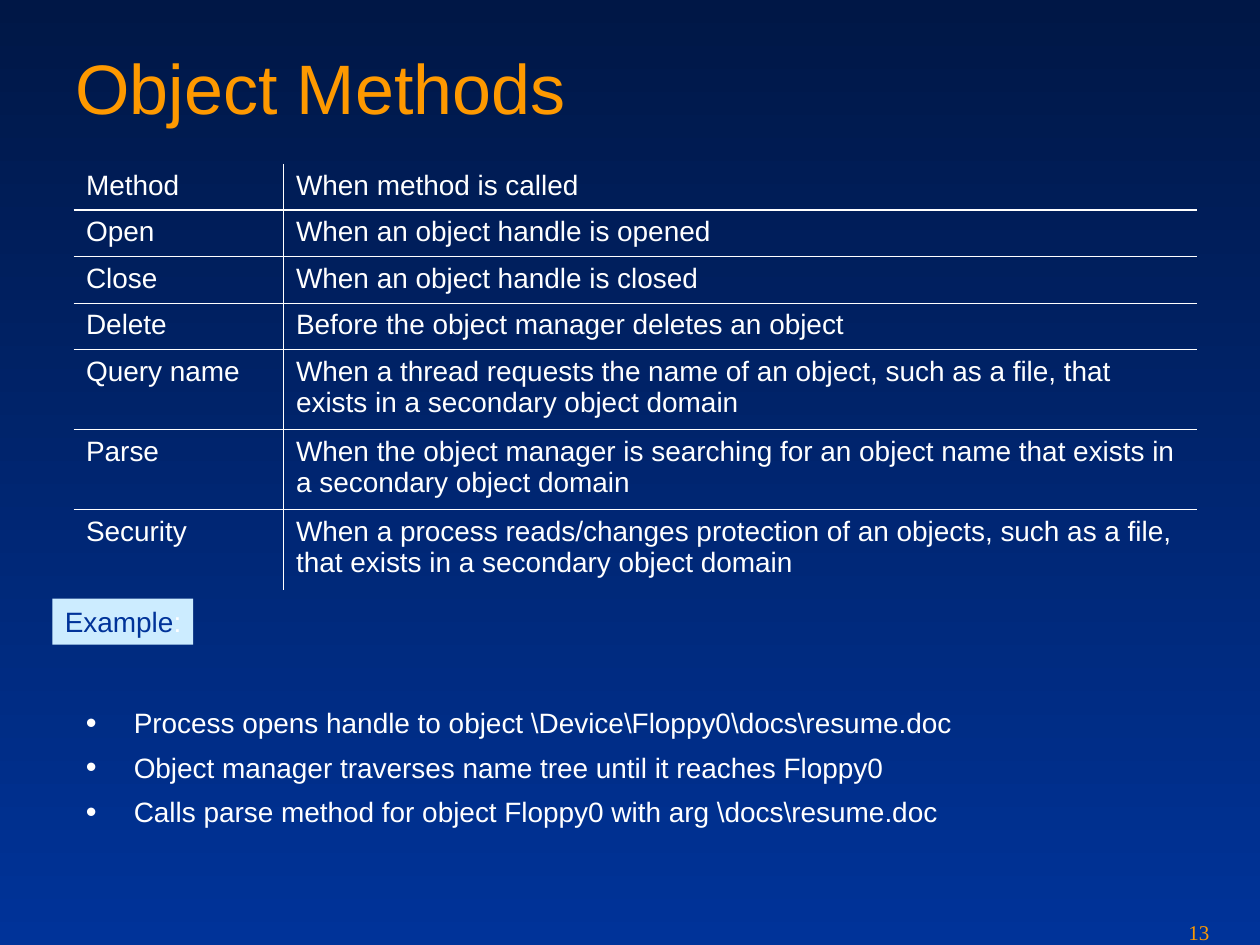
from typing import NamedTuple

from lxml.etree import SubElement as Sub
from pptx import Presentation
from pptx.dml.color import RGBColor as RGB
from pptx.enum.shapes import MSO_SHAPE as Shape
from pptx.enum.text import MSO_ANCHOR as Anchor, PP_ALIGN as Align
from pptx.oxml import parse_xml
from pptx.oxml.ns import nsdecls, qn
from pptx.util import Inches, Pt

WHITE, GOLD, BLUE, NAVY, PALE = "FFFFFF", "FE9900", "003399", "001746", "CCECFF"
THIN, THICK = 0.45, 1.47
COLS, ROWS = 120, 90  # square grid, twelve units to the inch


class Box(NamedTuple):
    col: float
    row: float
    wide: float
    high: float


class Method(NamedTuple):
    name: str
    when: str
    high: float = 4.43


TALL = 7.62
METHODS = [
    Method("Method", "When method is called"),
    Method("Open", "When an object handle is opened"),
    Method("Close", "When an object handle is closed"),
    Method("Delete", "Before the object manager deletes an object"),
    Method("Query name", "When a thread requests the name of an object, such as "
           "a file, that exists in a secondary object domain", TALL),
    Method("Parse", "When the object manager is searching for an object name "
           "that exists in a secondary object domain", TALL),
    Method("Security", "When a process reads/changes protection of an objects, "
           "such as a file, that exists in a secondary object domain", TALL),
]
STEPS = [
    r"Process opens handle to object \Device\Floppy0\docs\resume.doc",
    "Object manager traverses name tree until it reaches Floppy0",
    r"Calls parse method for object Floppy0 with arg \docs\resume.doc",
]


def color(code: str) -> RGB:
    return RGB.from_string(code)


def unit(count: float) -> int:
    return Inches(count / 12)


def place(box: Box) -> list[int]:
    return [unit(n) for n in box]


def write(para, text: str, size=16, hue=WHITE, face="Arial") -> None:
    """Add one formatted run to a paragraph."""
    para.alignment = Align.LEFT
    run = para.add_run()
    run.text = text
    run.font.size = Pt(size)
    run.font.name = face
    run.font.color.rgb = color(hue)


def frame(slide, box: Box):
    text = slide.shapes.add_textbox(*place(box)).text_frame
    text.word_wrap = True
    text.vertical_anchor = Anchor.TOP
    return text


def bullet(para) -> None:
    props = para._p.get_or_add_pPr()
    props.set("marL", str(Inches(0.38)))
    props.set("indent", str(-Inches(0.38)))
    Sub(Sub(props, qn("a:buClr")), qn("a:srgbClr"), val=WHITE)
    Sub(props, qn("a:buSzPct"), val="110000")
    Sub(props, qn("a:buFont"), typeface="Arial")
    Sub(props, qn("a:buChar"), char="•")


def border(cell, sides: dict[str, float]) -> None:
    """Rule each side at its width; zero leaves the side open."""
    props = cell._tc.get_or_add_tcPr()
    for spot, side in enumerate("LRTB"):
        width = sides.get(side, 0)
        paint = (f'<a:solidFill><a:srgbClr val="{WHITE}"/></a:solidFill>'
                 if width else "<a:noFill/>")
        props.insert(spot, parse_xml(
            f'<a:ln{side} {nsdecls("a")} w="{Pt(width)}">{paint}</a:ln{side}>'))


def chart_methods(slide, box: Box) -> None:
    table = slide.shapes.add_table(len(METHODS), 2, *place(box)).table
    table.first_row = table.horz_banding = False
    for col, wide in zip(table.columns, (20, 87)):
        col.width = unit(wide)
    # Rules between rows, with the heavy one under the heading
    rules = [0, THICK] + [THIN] * (len(METHODS) - 2) + [0]
    for i, item in enumerate(METHODS):
        table.rows[i].height = unit(item.high)
        for j, text in enumerate((item.name, item.when)):
            cell = table.cell(i, j)
            cell.fill.background()
            write(cell.text_frame.paragraphs[0], text)
            border(cell, {"RL"[j]: THIN, "T": rules[i], "B": rules[i + 1]})


def main() -> None:
    deck = Presentation()
    deck.slide_width, deck.slide_height = unit(COLS), unit(ROWS)
    slide = deck.slides.add_slide(deck.slide_layouts[6])

    # Background, dark at the top
    fill = slide.background.fill
    fill.gradient()
    fill.gradient_angle = 270
    for stop, hue in zip(fill.gradient_stops, (NAVY, BLUE)):
        stop.color.rgb = color(hue)

    # Title
    title = frame(slide, Box(6, 2.9, 108, 15))
    title.margin_top = Inches(0.11)
    write(title.paragraphs[0], "Object Methods", size=40, hue=GOLD)

    # Steps of the example
    body = frame(slide, Box(7, 67, 106, 14))
    for i, step in enumerate(STEPS):
        para = body.add_paragraph() if i else body.paragraphs[0]
        bullet(para)
        para.line_spacing = 0.9
        para.space_before = Pt(4 if i else 0)
        para.space_after = Pt(4)
        write(para, step)

    chart_methods(slide, Box(7, 15.6, 107, 40.5))

    # Example label
    label = slide.shapes.add_shape(Shape.RECTANGLE, *place(Box(5, 57, 13.4, 4.4)))
    label.shadow.inherit = False
    label.fill.solid()
    label.fill.fore_color.rgb = color(PALE)
    label.line.fill.background()
    label.text_frame.word_wrap = False
    label.text_frame.vertical_anchor = Anchor.TOP
    for text, hue in (("Example", BLUE), (":", WHITE)):
        write(label.text_frame.paragraphs[0], text, hue=hue)

    # Slide number
    number = frame(slide, Box(112, 87, 8, 3))
    write(number.paragraphs[0], "13", size=12, hue=GOLD, face="Times New Roman")

    deck.save("out.pptx")


if __name__ == "__main__":
    main()
